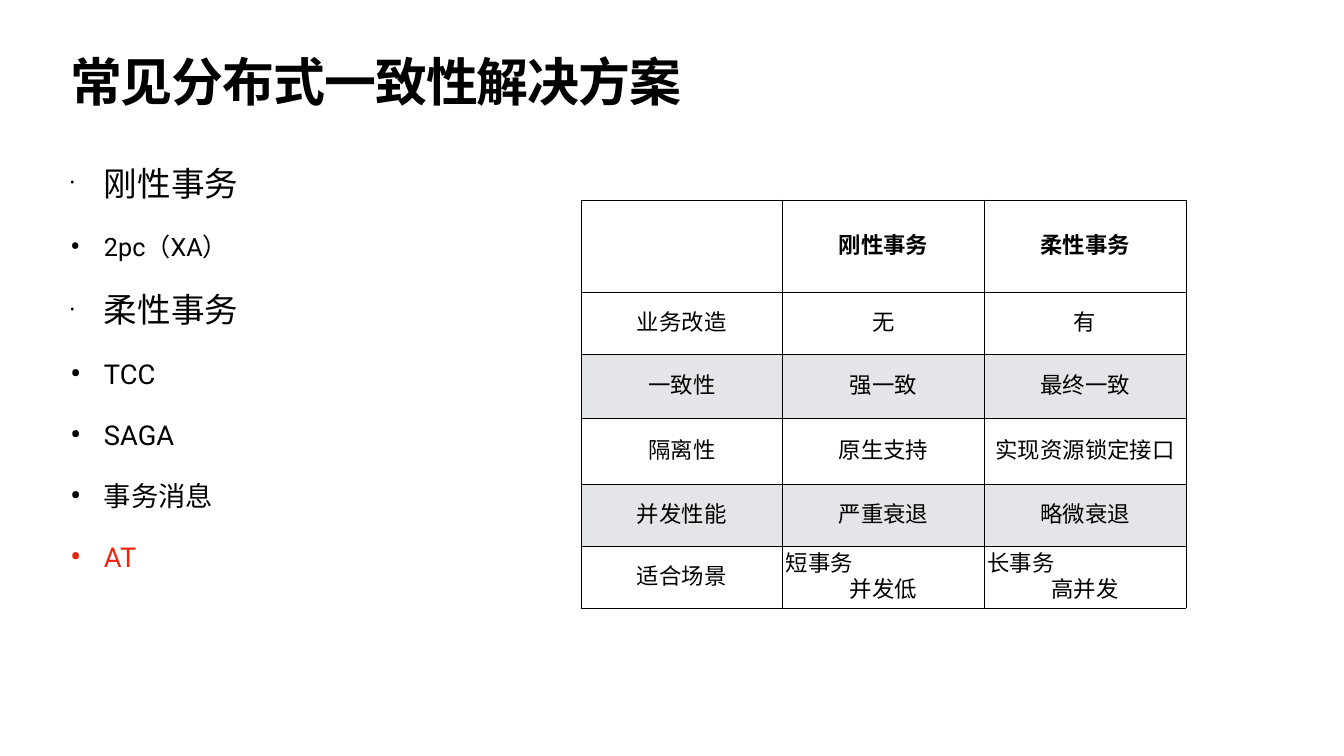
import pptx
import pptx.util
import pptx.dml.color
import pptx.enum.lang
import pptx.enum.text
import pptx.oxml.ns
import lxml.etree
from dataclasses import dataclass

PX = 914400 / 50.4  # EMU in one px
ALIGN = pptx.enum.text.PP_ALIGN
ANCHOR = pptx.enum.text.MSO_ANCHOR


@dataclass(frozen=True)
class Theme:
    font: str = "Roboto"
    ink: str = "000000"
    accent: str = "EE230C"
    band: str = "E3E5E8"
    title: float = 74.2
    group: int = 48
    protocol: int = 36
    item: int = 39
    cell: int = 32
    border: int = 1
    inset: int = 3


THEME = Theme()

SOLUTIONS = [  # text, size, colour, bullet size in percent
    ("刚性事务", THEME.group, THEME.ink, 40),
    ("2pc（XA）", THEME.protocol, THEME.ink, 123),
    ("柔性事务", THEME.group, THEME.ink, 40),
    ("TCC", THEME.item, THEME.ink, 123),
    ("SAGA", THEME.item, THEME.ink, 123),
    ("事务消息", THEME.item, THEME.ink, 123),
    ("AT", THEME.item, THEME.accent, 123),
]
COMPARISON = [
    ("", "刚性事务", "柔性事务"),
    ("业务改造", "无", "有"),
    ("一致性", "强一致", "最终一致"),
    ("隔离性", "原生支持", "实现资源锁定接口"),
    ("并发性能", "严重衰退", "略微衰退"),
    ("适合场景", "短事务\n并发低", "长事务\n高并发"),
]
ROW_HEIGHTS = [92, 62, 64, 66, 62, 62]
BANDED_ROWS = (2, 4)


def px(length):
    return pptx.util.Emu(round(length * PX))


def rgb(value):
    return pptx.dml.color.RGBColor.from_string(value)


def apply(target, formats):
    for name, value in formats.items():
        setattr(target, name, value)


def add_xml(parent, tag, **attributes):
    return lxml.etree.SubElement(parent, pptx.oxml.ns.qn(tag), attributes)


def margins(prefix):
    return {prefix + side: px(THEME.inset) for side in ("left", "right", "top", "bottom")}


def write(paragraph, text, size, color=THEME.ink, bold=False, **layout):
    apply(paragraph, layout)
    run = paragraph.add_run()
    run.text = text
    run.font.color.rgb = rgb(color)
    apply(run.font, {
        "size": pptx.util.Pt(size), "bold": bold, "name": THEME.font,
        "language_id": pptx.enum.lang.MSO_LANGUAGE_ID.SIMPLIFIED_CHINESE,
    })
    properties = run.font._element
    add_xml(properties, "a:ea", typeface=THEME.font)
    return properties


def place(shape, box):
    apply(shape, dict(zip(("left", "top", "width", "height"), map(px, box))))


def format_frame(frame):
    apply(frame, {
        "word_wrap": True, "auto_size": pptx.enum.text.MSO_AUTO_SIZE.NONE,
        "vertical_anchor": ANCHOR.TOP, **margins("margin_"),
    })


def build_title(slide, box):
    title = slide.shapes.title
    place(title, box)
    format_frame(title.text_frame)
    properties = write(title.text_frame.paragraphs[0], "常见分布式一致性解决方案",
                       THEME.title, bold=True, alignment=ALIGN.LEFT, line_spacing=0.8)
    properties.set("spc", "-150")


def build_solutions(slide, box):
    solutions = slide.shapes.add_textbox(*map(px, box)).text_frame
    format_frame(solutions)
    for index, (text, size, color, bullet) in enumerate(SOLUTIONS):
        paragraph = solutions.add_paragraph() if index else solutions.paragraphs[0]
        write(paragraph, text, size, color, alignment=ALIGN.LEFT,
              line_spacing=0.9, space_before=pptx.util.Pt(45))
        # Hanging bullet
        layout = paragraph._p.get_or_add_pPr()
        layout.set("marL", str(px(34)))
        layout.set("indent", str(-px(34)))
        add_xml(layout, "a:buSzPct", val=str(bullet * 1000))
        add_xml(layout, "a:buFont", typeface=THEME.font)
        add_xml(layout, "a:buChar", char="•")


def draw_borders(cell):
    properties = cell._tc.get_or_add_tcPr()
    for side in "LRTB":
        line = add_xml(properties, "a:ln" + side, w=str(pptx.util.Pt(THEME.border)))
        add_xml(add_xml(line, "a:solidFill"), "a:srgbClr", val=THEME.ink)


def fill_cell(cell, text, header, banded):
    apply(cell, {"vertical_anchor": ANCHOR.MIDDLE, **margins("margin_")})
    draw_borders(cell)
    if banded:
        cell.fill.solid()
        cell.fill.fore_color.rgb = rgb(THEME.band)
    else:
        cell.fill.background()
    # In a two-line cell the first line is left aligned, the last one centred
    lines = text.split("\n") if text else []
    for index, line in enumerate(lines):
        paragraph = cell.text_frame.add_paragraph() if index else cell.text_frame.paragraphs[0]
        last = index == len(lines) - 1
        write(paragraph, line, THEME.cell, bold=header,
              alignment=ALIGN.CENTER if last else ALIGN.LEFT,
              line_spacing=0.9 if len(lines) == 1 else 1.0)


def build_comparison(slide, box):
    rows, columns = len(COMPARISON), len(COMPARISON[0])
    comparison = slide.shapes.add_table(rows, columns, *map(px, box)).table
    apply(comparison, {"first_row": False, "horz_banding": False})
    for column in comparison.columns:
        column.width = px(box[2] / columns)
    for index, (row, height) in enumerate(zip(comparison.rows, ROW_HEIGHTS)):
        row.height = px(height)
        for cell, text in zip(row.cells, COMPARISON[index]):
            fill_cell(cell, text, index == 0, index in BANDED_ROWS)


def main():
    deck = pptx.Presentation()
    apply(deck, {"slide_width": px(1344), "slide_height": px(756)})
    slide = deck.slides.add_slide(deck.slide_layouts.get_by_name("Title Only"))
    build_title(slide, (67, 59, 1211, 79))
    build_solutions(slide, (67, 164, 416, 525))
    build_comparison(slide, (581, 200, 605, sum(ROW_HEIGHTS)))
    deck.save("out.pptx")


if __name__ == "__main__":
    main()
